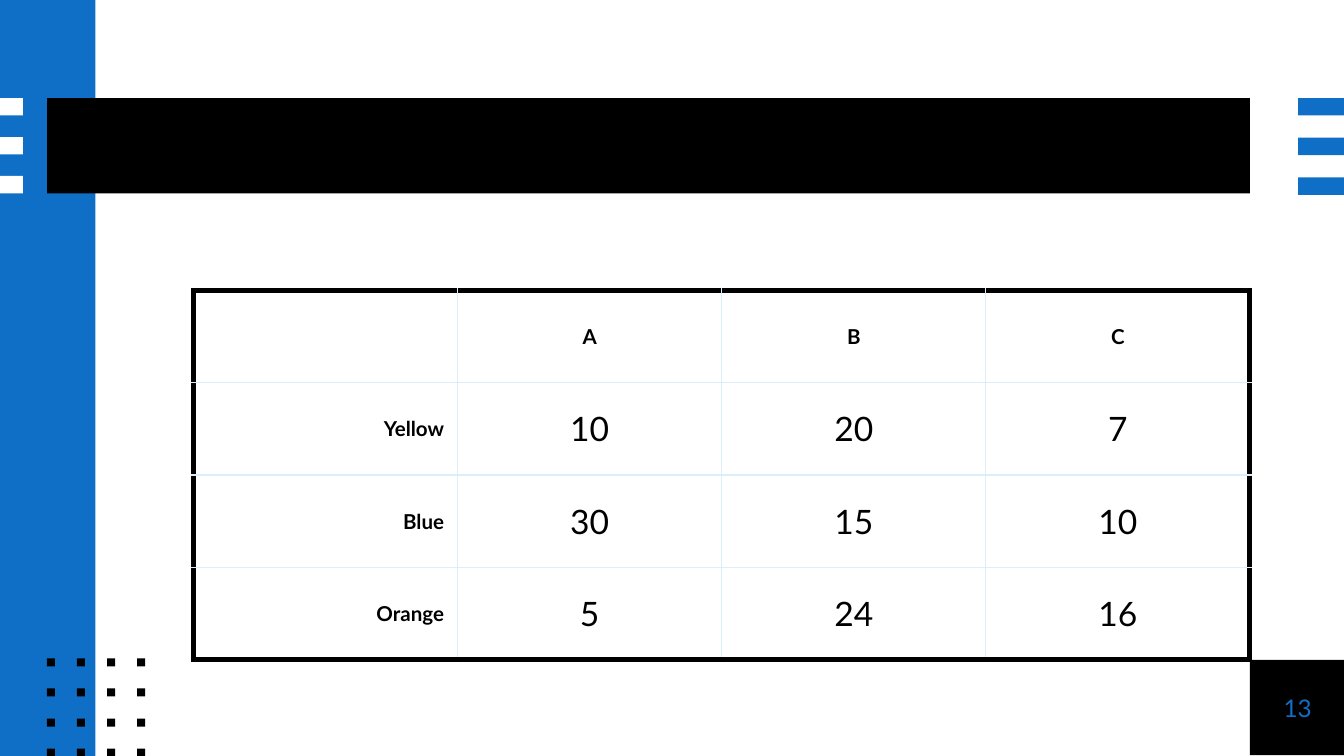
from dataclasses import dataclass
from itertools import product

import lxml.etree
import pptx
import pptx.dml.color
import pptx.enum.shapes
import pptx.enum.text
import pptx.oxml.ns
import pptx.slide
import pptx.table
import pptx.text.text
import pptx.util

Inches = pptx.util.Inches
Align = pptx.enum.text.PP_ALIGN
MIDDLE = pptx.enum.text.MSO_ANCHOR.MIDDLE

SLIDE_WIDTH = 10
SLIDE_HEIGHT = SLIDE_WIDTH * 9 / 16
BLACK, WHITE, BLUE, PALE = "000000", "FFFFFF", "0F6FC6", "DBEFF9"
FONT = "Lato"
ROWS = [
    ["", "A", "B", "C"],
    ["Yellow", "10", "20", "7"],
    ["Blue", "30", "15", "10"],
    ["Orange", "5", "24", "16"],
]


@dataclass
class Block:
    left: float
    top: float
    width: float
    height: float
    color: str


def rgb(color: str) -> pptx.dml.color.RGBColor:
    return pptx.dml.color.RGBColor.from_string(color)


def draw_block(slide: pptx.slide.Slide, block: Block) -> None:
    shape = slide.shapes.add_shape(
        pptx.enum.shapes.MSO_SHAPE.RECTANGLE,
        Inches(block.left), Inches(block.top),
        Inches(block.width), Inches(block.height),
    )
    shape.shadow.inherit = False
    shape.fill.solid()
    shape.fill.fore_color.rgb = rgb(block.color)
    shape.line.fill.background()


def style_text(paragraph: pptx.text.text._Paragraph, size: float, color: str,
               align: Align, bold: bool = False) -> None:
    paragraph.alignment = align
    paragraph.font.name = FONT
    paragraph.font.size = pptx.util.Pt(size)
    paragraph.font.bold = bold
    paragraph.font.color.rgb = rgb(color)


def add_border(cell: pptx.table._Cell, side: str, outer: bool) -> None:
    qn = pptx.oxml.ns.qn
    width = pptx.util.Pt(3 if outer else 0.75)
    line = lxml.etree.SubElement(
        cell._tc.get_or_add_tcPr(), qn(f"a:ln{side}"), w=str(int(width)))
    fill = lxml.etree.SubElement(line, qn("a:solidFill"))
    lxml.etree.SubElement(fill, qn("a:srgbClr"), val=BLACK if outer else PALE)


def draw_table(slide: pptx.slide.Slide, rows: list[list[str]]) -> None:
    last_row, last_column = len(rows) - 1, len(rows[0]) - 1
    table = slide.shapes.add_table(
        len(rows), len(rows[0]),
        Inches(1.44), Inches(2.16), Inches(7.86), Inches(2.75),
    ).table
    table.first_row = table.horz_banding = False
    for r, c in product(range(len(rows)), range(len(rows[0]))):
        cell = table.cell(r, c)
        cell.text = rows[r][c]
        cell.vertical_anchor = MIDDLE
        cell.margin_left = cell.margin_right = Inches(0.1)
        cell.margin_top = cell.margin_bottom = Inches(0.07)
        heading = r == 0 or c == 0
        style_text(cell.text_frame.paragraphs[0], 11 if heading else 18, BLACK,
                   Align.RIGHT if c == 0 else Align.CENTER, heading)
        outer_sides = {"L": c == 0, "R": c == last_column,
                       "T": r == 0, "B": r == last_row}
        for side, outer in outer_sides.items():
            add_border(cell, side, outer)
        cell.fill.background()


def draw_page_number(slide: pptx.slide.Slide, corner: Block, number: str) -> None:
    page_number = slide.shapes.add_textbox(
        Inches(corner.left), Inches(corner.top),
        Inches(corner.width), Inches(corner.height),
    ).text_frame
    page_number.word_wrap = True
    page_number.vertical_anchor = MIDDLE
    page_number.margin_left = page_number.margin_right = 0
    page_number.margin_top = page_number.margin_bottom = 0
    page_number.text = number
    style_text(page_number.paragraphs[0], 13, BLUE, Align.CENTER)


def main() -> None:
    presentation = pptx.Presentation()
    presentation.slide_width = Inches(SLIDE_WIDTH)
    presentation.slide_height = Inches(SLIDE_HEIGHT)
    slide = presentation.slides.add_slide(presentation.slide_layouts[6])
    slide.background.fill.solid()
    slide.background.fill.fore_color.rgb = rgb(WHITE)

    corner = Block(9.3, 4.91, 0.71, 0.71, BLACK)
    sidebar = Block(0, 0, 0.71, SLIDE_HEIGHT, BLUE)
    title_band = Block(0.35, 0.73, 8.95, 0.71, BLACK)
    left_stripes = [Block(0, 0.73 + 0.29 * i, 0.17, 0.13, WHITE) for i in range(3)]
    right_stripes = [Block(9.66, 0.73 + 0.59 * i / 2, 0.34, 0.13, BLUE)
                     for i in range(3)]
    dots = [Block(0.35 + 0.67 * column / 3, 4.9 + 0.67 * row / 3, 0.06, 0.06, BLACK)
            for row, column in product(range(4), repeat=2)]
    for block in [corner, sidebar, title_band, *left_stripes, *dots, *right_stripes]:
        draw_block(slide, block)

    draw_table(slide, ROWS)
    draw_page_number(slide, corner, "13")
    presentation.save("out.pptx")


if __name__ == "__main__":
    main()
